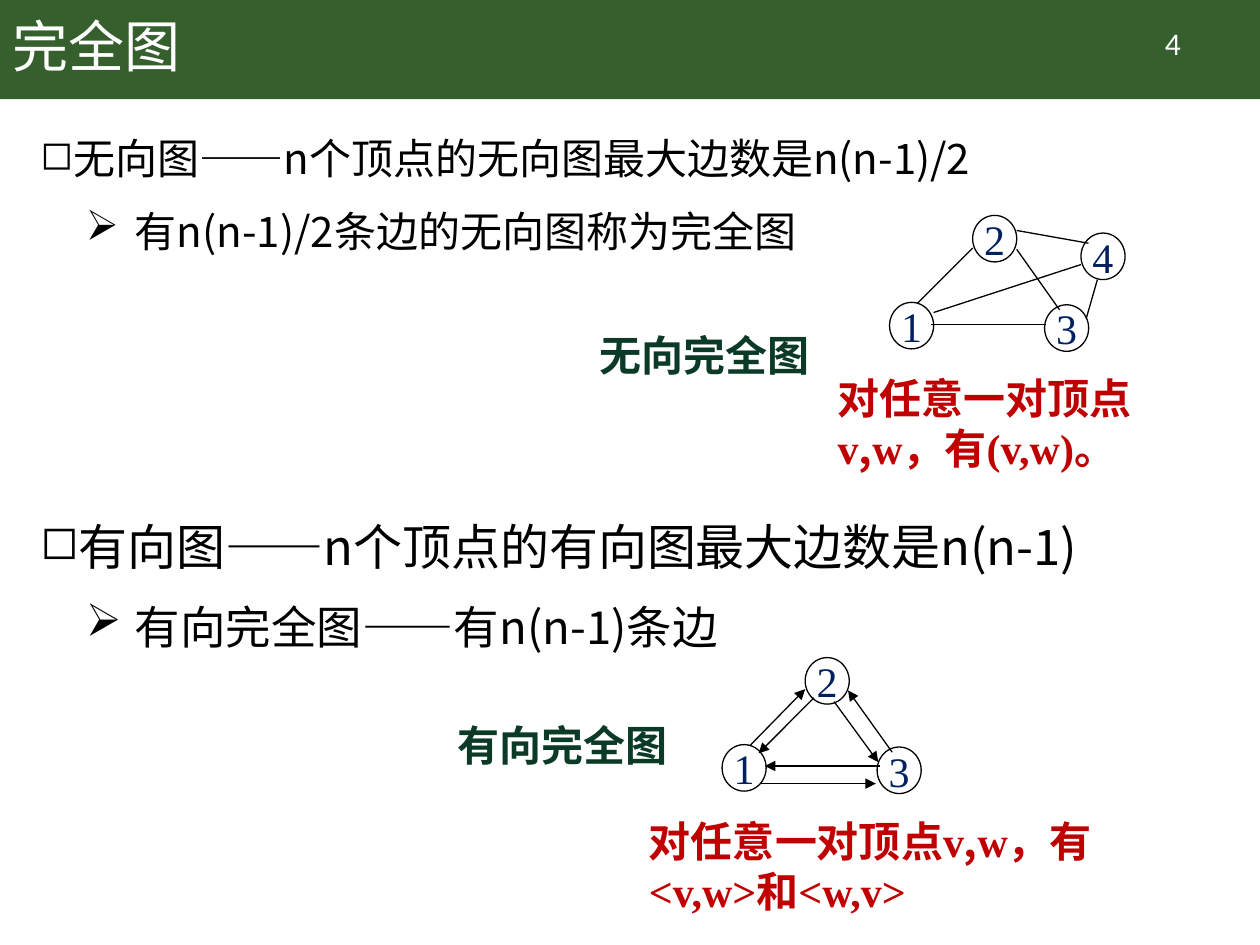
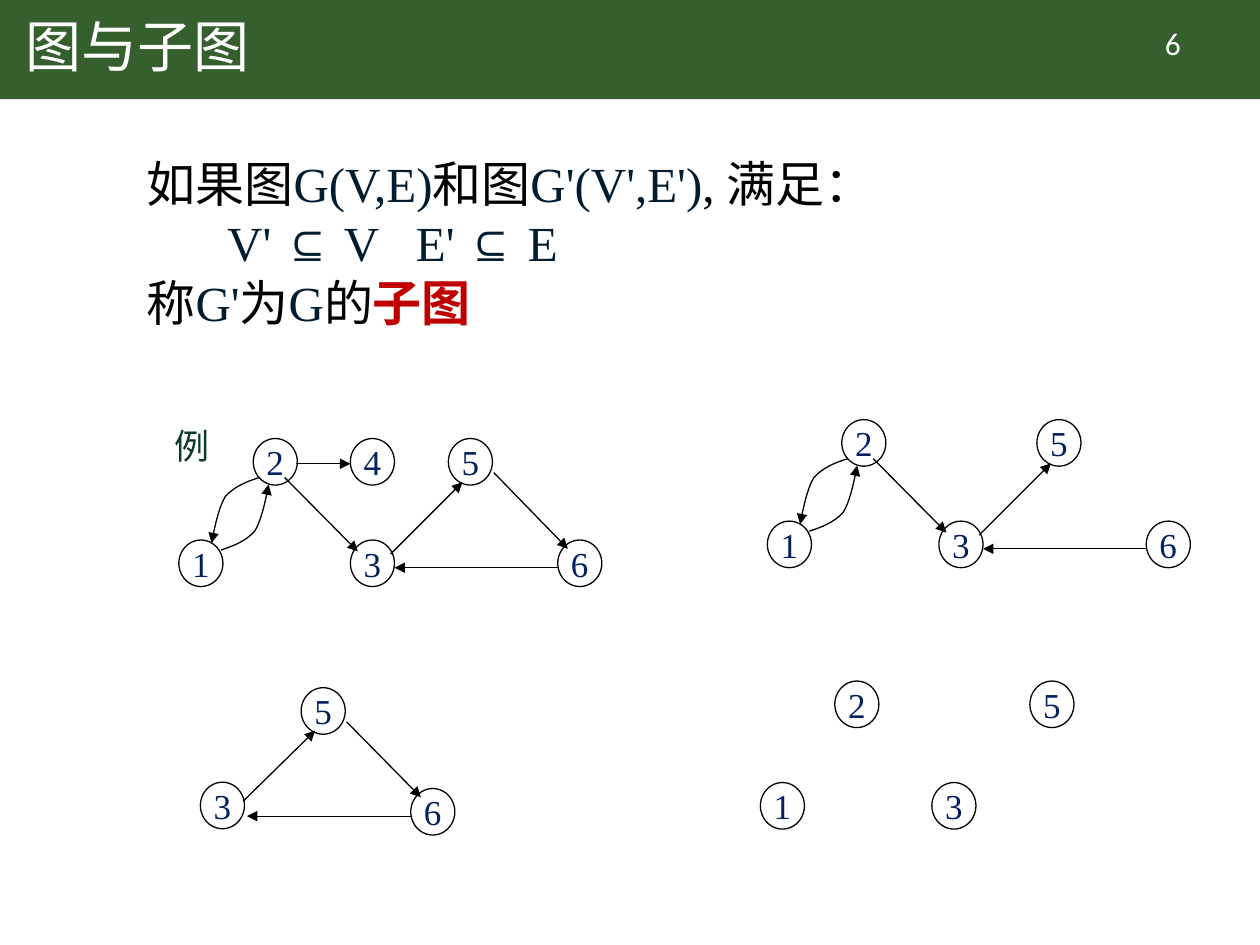
from dataclasses import dataclass

from lxml.etree import SubElement
from pptx import Presentation
from pptx.dml.color import RGBColor
from pptx.enum.shapes import MSO_CONNECTOR, MSO_SHAPE
from pptx.enum.text import MSO_ANCHOR, MSO_AUTO_SIZE, PP_ALIGN
from pptx.oxml.ns import qn
from pptx.util import Pt


@dataclass(frozen=True)
class Theme:
    """Colours, fonts and type sizes of the deck."""

    band: str = "365F2E"
    white: str = "FFFFFF"
    black: str = "000000"
    label: str = "0B3B27"
    node: str = "002060"
    formula: str = "001C30"
    accent: str = "C00000"
    cjk: str = "Noto Sans CJK SC"
    serif: str = "Times New Roman"
    sans: str = "Calibri"
    title: int = 32
    large: int = 28
    sub: int = 26
    text: int = 24
    small: int = 20
    number: int = 18
    leading: float = 1.21
    loose: float = 1.53
    line: float = 0.75


T = Theme()
NODE_W, NODE_H = 25.2, 26.6
BAND_H = 56.6

TRIO = {"1": (0, 49.7), "2": (47.5, 0), "3": (88.6, 51.1)}
QUARTET = {**TRIO, "4": (109.4, 10.1)}
UNDIRECTED = {
    "12": ((15.8, 0.7), (0, 18.7)),
    "13": ((23.8, 12.5), (0.7, 11.1)),
    "23": ((25.2, 19.4), (8.6, 2.9)),
    "24": ((25.2, 8.6), (4.3, 5.8)),
    "14": ((25.2, 5.8), (0, 18)),
    "34": ((23.8, 7.9), (9.4, 26.6)),
}
DIRECTED = {
    "13": ((22.3, 22.3), (-0.7, 20.9)),
    "31": ((1.4, 10.8), (24.5, 12.2)),
    "12": ((15.8, 0.7), (0, 18)),
    "21": ((5, 23), (20.9, 5)),
    "23": ((16.6, 25.2), (0.7, 8.6)),
    "32": ((8.6, 2.9), (24.5, 18.7)),
}
SIX = {"1": (0, 58), "2": (42.5, 0), "3": (98, 58),
       "4": (98, 0), "5": (154, 0), "6": (216.5, 58)}
TRIANGLE = {"3": (0, 54), "5": (57.6, 0), "6": (120.2, 57.6)}
ARROWS = {
    "24": ((24.5, 14.4), (0, 14.4)),
    "23": ((18, 22.3), (4.3, 6.5)),
    "63": ((0.7, 15.8), (25.2, 15.8)),
    "35": ((23, 8), (8, 25)),
    "56": ((26, 19.5), (5.8, 5)),
}
TRIANGLE_ARROWS = {
    **ARROWS,
    "63": ((0.7, 15.8), (26.6, 19.4)),
    "35": ((24.5, 10.8), (8, 24.5)),
}
ARC = [(46, 22.3), (38.9, 24.5), (31.7, 27.4), (26.6, 33.1),
       (22.3, 39.6), (19.4, 56.2), (18.7, 59.8)]
ARC_BACK = [(70 - x, 86 - y) for x, y in ARC]


def pick(table, keys):
    """Return the entries of a table under the given keys."""
    return {key: table[key] for key in keys}


def style_run(r, size, color, font=T.cjk, bold=False):
    """Format one run, with the CJK font for Chinese text."""
    r.font.size, r.font.bold, r.font.name = Pt(size), bold, font
    r.font.color.rgb = RGBColor.from_string(color)
    SubElement(r.font._element, qn("a:ea"), typeface=T.cjk)


def add_runs(p, spans, size, bold=False):
    """Append (text, font, colour) spans to a paragraph."""
    for text, font, color in spans:
        r = p.add_run()
        r.text = text
        style_run(r, size, color, font, bold)


def add_box(s, x, y, w, h, wrap=True):
    """Add a plain text box and return its frame."""
    tf = s.shapes.add_textbox(Pt(x), Pt(y), Pt(w), Pt(h)).text_frame
    tf.word_wrap = wrap
    return tf


def add_label(s, x, y, w, h, text, size, bold=False):
    """Add a short dark green label."""
    p = add_box(s, x, y, w, h, wrap=False).paragraphs[0]
    p.line_spacing = Pt(size * T.leading)
    add_runs(p, [(text, T.cjk, T.label)], size, bold)


def add_caption(s, x, y, w, endings):
    """Add the red statement about each pair of vertices."""
    p = add_box(s, x, y, w, 65.5).paragraphs[0]
    p.line_spacing = Pt(T.text * T.leading)
    parts = [("对任意一对顶点", T.cjk), ("v", T.serif), (",", T.cjk),
             ("w", T.serif), ("，有", T.cjk), *endings]
    add_runs(p, [(text, font, T.accent) for text, font in parts], T.text, True)


def style_line(sp, arrow):
    """Give an edge a thin black line, with an arrowhead if directed."""
    sp.line.width = Pt(T.line)
    sp.line.color.rgb = RGBColor.from_string(T.black)
    if arrow:
        SubElement(sp.line._get_or_add_ln(), qn("a:tailEnd"), type="triangle")


def add_node(s, x, y, text, size):
    """Add one numbered vertex."""
    sp = s.shapes.add_shape(MSO_SHAPE.OVAL, Pt(x), Pt(y), Pt(NODE_W), Pt(NODE_H))
    sp.shadow.inherit = False
    sp.fill.background()
    style_line(sp, False)
    tf = sp.text_frame
    tf.text, tf.word_wrap = text, False
    tf.vertical_anchor = MSO_ANCHOR.MIDDLE
    p = tf.paragraphs[0]
    p.alignment = PP_ALIGN.CENTER
    style_run(p.runs[0], size, T.node, T.serif)


def add_arc(s, x, y, points):
    """Add a curved arrow through two joined cubic segments."""
    track = [points[0]]
    for a, b, c, d in (points[:4], points[3:]):
        for t in (i / 8 for i in range(1, 9)):
            weights = ((1 - t) ** 3, 3 * t * (1 - t) ** 2, 3 * t * t * (1 - t), t ** 3)
            track.append(tuple(sum(k * q[axis] for k, q in zip(weights, (a, b, c, d)))
                               for axis in (0, 1)))
    track = [(Pt(x + px), Pt(y + py)) for px, py in track]
    outline = s.shapes.build_freeform(*track[0])
    outline.add_line_segments(track[1:], close=False)
    sp = outline.convert_to_shape()
    sp.shadow.inherit = False
    sp.fill.background()
    style_line(sp, True)


def add_graph(s, x, y, nodes, edges, size, arrow=True, arcs=()):
    """Draw a graph whose vertices and edge ends are relative to its corner."""
    for text, (dx, dy) in nodes.items():
        add_node(s, x + dx, y + dy, text, size)
    for pair, anchors in edges.items():
        ends = [Pt(base + nodes[name][axis] + anchor[axis])
                for name, anchor in zip(pair, anchors)
                for axis, base in enumerate((x, y))]
        line = s.shapes.add_connector(MSO_CONNECTOR.STRAIGHT, *ends)
        style_line(line, arrow)
        SubElement(line._element.spPr, qn("a:effectLst"))
    for points in arcs:
        add_arc(s, x, y, points)


def add_section(s, y, heading, heading_size, detail, detail_size):
    """Add a bulleted heading with one indented line below it."""
    tf = add_box(s, 16, y, 689, 100)
    rows = [(heading, heading_size, 18, "◻", 95), (detail, detail_size, 54, "➢", 100)]
    for i, (text, size, margin, bullet, percent) in enumerate(rows):
        p = tf.add_paragraph() if i else tf.paragraphs[0]
        p.line_spacing = Pt(size * T.loose)
        p.space_before = Pt(5 * i)
        pPr = p._p.get_or_add_pPr()
        pPr.set("marL", str(Pt(margin)))
        pPr.set("indent", str(-Pt(28)))
        color = SubElement(pPr, qn("a:buClr"))
        SubElement(color, qn("a:srgbClr"), val=T.black)
        SubElement(pPr, qn("a:buSzPct"), val=str(percent * 1000))
        SubElement(pPr, qn("a:buChar"), char=bullet)
        add_runs(p, [(text, T.cjk, T.black)], size)


def add_slide(prs, title, number, margin=7.2):
    """Add a slide with the green band, its title and its number."""
    s = prs.slides.add_slide(prs.slide_layouts[5])
    band = s.shapes.add_shape(MSO_SHAPE.RECTANGLE, 0, 0, prs.slide_width, Pt(BAND_H))
    band.shadow.inherit = False
    band.fill.solid()
    band.fill.fore_color.rgb = RGBColor.from_string(T.band)
    band.line.fill.background()
    s.shapes._spTree.insert(2, band._element)

    sp = s.shapes.title
    sp.left, sp.top, sp.width, sp.height = Pt(0), Pt(0), Pt(620.6), Pt(BAND_H)
    tf = sp.text_frame
    tf.text, tf.margin_left = title, Pt(margin)
    tf.auto_size = MSO_AUTO_SIZE.NONE
    tf.vertical_anchor = MSO_ANCHOR.MIDDLE
    p = tf.paragraphs[0]
    p.alignment, p.line_spacing = PP_ALIGN.LEFT, 0.9
    style_run(p.runs[0], T.title, T.white, T.sans)

    p = add_box(s, 627, 10, 86.4, 29).paragraphs[0]
    p.alignment = PP_ALIGN.CENTER
    add_runs(p, [(number, T.sans, T.white)], T.number)
    return s


def add_definition(s, x, y, w, h):
    """State when one graph is a subgraph of another."""
    def cjk(text):
        return text, T.cjk, T.black

    def math(text):
        return text, T.serif, T.formula

    rows = [
        [cjk("如果图"), math("G(V,E)"), cjk("和图"), math("G'(V',E')"),
         (", ", T.serif, T.black), cjk("满足：")],
        [math("V' ⊆ V"), math(" "), math("E' ⊆ E")],
        [cjk("称"), math("G'"), cjk("为"), math("G"), cjk("的")],
    ]
    tf = add_box(s, x, y, w, h)
    for i, spans in enumerate(rows):
        p = tf.add_paragraph() if i else tf.paragraphs[0]
        p.line_spacing = Pt(T.large * T.leading)
        add_runs(p, spans, T.large)
    add_runs(p, [("子图", T.cjk, T.accent)], T.large, bold=True)
    formula = tf.paragraphs[1]
    formula._p.get_or_add_pPr().set("marL", str(Pt(46)))
    formula.runs[1].font._element.set("spc", "1400")


def complete_graph_slide(prs):
    """Build the slide on complete graphs."""
    s = add_slide(prs, "完全图", "4")
    add_section(s, 64.5, "无向图——n个顶点的无向图最大边数是n(n-1)/2", T.text,
                "有n(n-1)/2条边的无向图称为完全图", T.text)
    add_section(s, 282.2, "有向图——n个顶点的有向图最大边数是n(n-1)", T.large,
                "有向完全图——有n(n-1)条边", T.sub)
    add_label(s, 335.5, 184.5, 135, 36, "无向完全图", T.text, True)
    add_label(s, 254.2, 407.5, 135, 36, "有向完全图", T.text, True)
    add_graph(s, 508.3, 123.1, QUARTET, UNDIRECTED, T.text, arrow=False)
    add_graph(s, 412.6, 375.8, TRIO, DIRECTED, T.text)
    add_caption(s, 471.6, 208.8, 191, [("(v,w)", T.serif), ("。", T.cjk)])
    add_caption(s, 363.8, 462, 269,
                [("<v,w>", T.serif), ("和", T.cjk), ("<w,v>", T.serif)])


def subgraph_slide(prs):
    """Build the slide on graphs and their subgraphs."""
    s = add_slide(prs, "图与子图", "6", margin=14.6)
    add_definition(s, 76.8, 84, 566.6, 108.7)
    add_label(s, 92.4, 239, 34.6, 31, "例", T.small)
    arcs = (ARC, ARC_BACK)
    add_graph(s, 102.2, 250.6, SIX, ARROWS, T.small, arcs=arcs)
    add_graph(s, 438.5, 239.8, pick(SIX, "12356"), pick(ARROWS, ("23", "63", "35")),
              T.small, arcs=arcs)
    add_graph(s, 114.5, 393, TRIANGLE, pick(TRIANGLE_ARROWS, ("63", "35", "56")), T.small)
    add_graph(s, 434.5, 389.2, pick(SIX, "1235"), {}, T.small)


def main():
    """Build and save the deck."""
    prs = Presentation()
    prs.slide_width, prs.slide_height = Pt(720), Pt(540)
    complete_graph_slide(prs)
    subgraph_slide(prs)
    prs.save("out.pptx")


if __name__ == "__main__":
    main()
